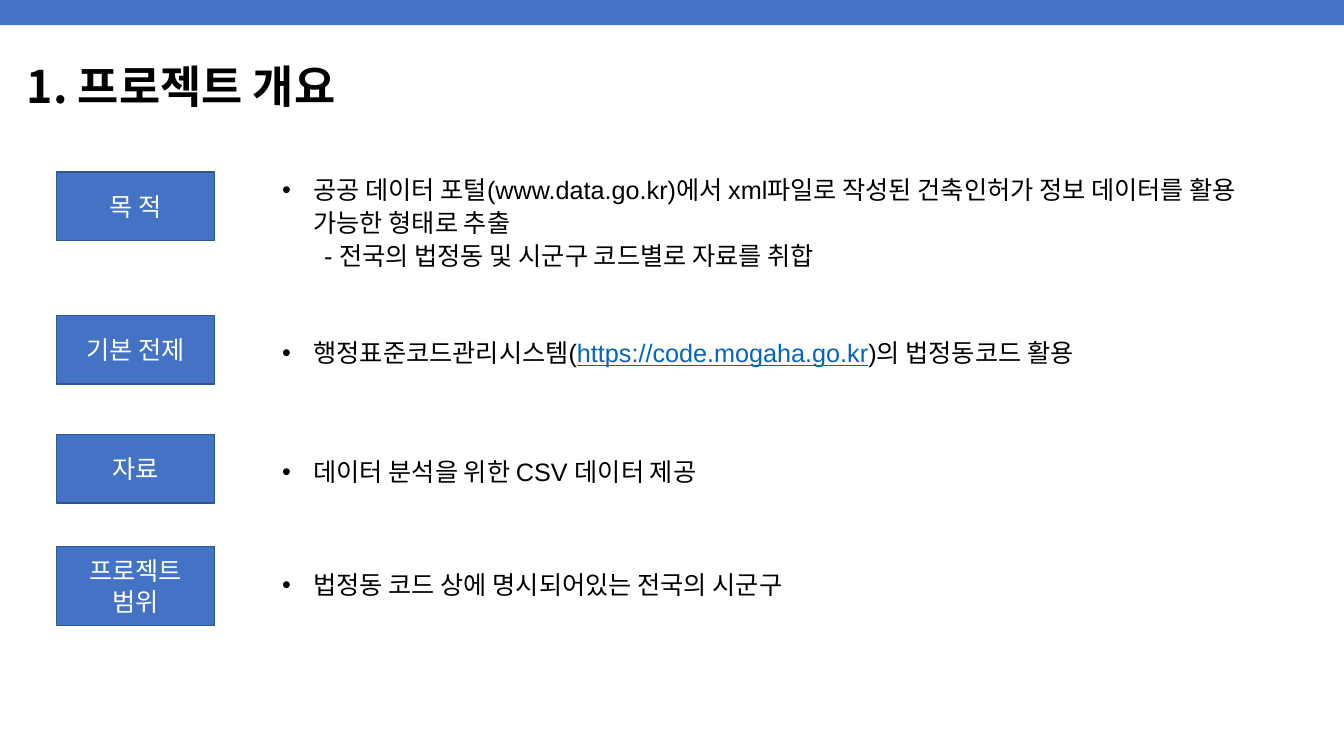
"""Build the project overview slide with four labelled topics."""
from lxml.etree import SubElement
from pptx import Presentation
from pptx.dml.color import RGBColor
from pptx.enum.shapes import MSO_SHAPE as SHAPE
from pptx.enum.text import MSO_ANCHOR as ANCHOR, PP_ALIGN as ALIGN
from pptx.oxml.ns import qn
from pptx.util import Pt

BLUE = RGBColor(0x44, 0x72, 0xC4)
BORDER = RGBColor(0x32, 0x54, 0x91)
LINK = RGBColor(0x05, 0x63, 0xC1)
BLACK = RGBColor(0, 0, 0)
WHITE = RGBColor(255, 255, 255)
KOREAN = "Noto Sans CJK KR"
LATIN = "Arial"


def style_run(r, size, color, font):
    r.font.size = Pt(size)
    r.font.color.rgb = color
    r.font.name = font
    SubElement(r.font._element, qn("a:ea"), typeface=KOREAN)


def add_box(left, top, width, height):
    sp = s.shapes.add_shape(SHAPE.RECTANGLE, Pt(left), Pt(top), Pt(width), Pt(height))
    sp.shadow.inherit = False
    sp.fill.solid()
    sp.fill.fore_color.rgb = BLUE
    return sp


prs = Presentation()
prs.slide_width, prs.slide_height = Pt(960), Pt(540)
s = prs.slides.add_slide(prs.slide_layouts[6])

banner = add_box(0, 0, 960, 18)
banner.line.fill.background()

title = s.shapes.add_textbox(Pt(12), Pt(31.7), Pt(931), Pt(64))
tf = title.text_frame
tf.word_wrap = True
tf.vertical_anchor = ANCHOR.MIDDLE
p = tf.paragraphs[0]
p.text = "1. 프로젝트 개요"
p.line_spacing = 0.9
style_run(p.runs[0], 32, BLACK, KOREAN)
p.runs[0].font.bold = True

URL = "https://code.mogaha.go.kr"
topics = [
    ("목 적", 123, 49, 118.8, 729, 77, [
        ["공공 데이터 포털(www.data.go.kr)에서 xml파일로 작성된 "
         "건축인허가 정보 데이터를 활용 가능한 형태로 추출"],
        ["- 전국의 법정동 및 시군구 코드별로 자료를 취합"]]),
    ("기본 전제", 225.3, 49, 235.4, 671, 30, [
        ["행정표준코드관리시스템(", URL, ")의 법정동코드 활용"]]),
    ("자료", 310.3, 49, 320.4, 619, 30, [["데이터 분석을 위한 CSV 데이터 제공"]]),
    ("프로젝트\n범위", 390.2, 56.5, 401, 619, 30, [
        ["법정동 코드 상에 명시되어있는 전국의 시군구"]]),
]

for label, box_top, box_height, text_top, text_width, text_height, lines in topics:
    sp = add_box(40.3, box_top, 113, box_height)
    sp.line.color.rgb = BORDER
    sp.line.width = Pt(1)
    tf = sp.text_frame
    tf.text = label
    tf.word_wrap = True
    tf.vertical_anchor = ANCHOR.MIDDLE
    for p in tf.paragraphs:
        p.alignment = ALIGN.CENTER
        style_run(p.runs[0], 18, WHITE, KOREAN)

    sp = s.shapes.add_textbox(Pt(194.4), Pt(text_top), Pt(text_width), Pt(text_height))
    tf = sp.text_frame
    tf.word_wrap = True
    for i, parts in enumerate(lines):
        p = tf.add_paragraph() if i else tf.paragraphs[0]
        p.line_spacing = 1.1
        pPr = p._p.get_or_add_pPr()
        if i:
            pPr.set("marL", str(Pt(30)))
        else:
            pPr.set("marL", str(Pt(22.5)))
            pPr.set("indent", str(Pt(-22.5)))
            SubElement(pPr, qn("a:buFont"), typeface=LATIN)
            SubElement(pPr, qn("a:buChar"), char="•")
        for part in parts:
            r = p.add_run()
            r.text = part
            style_run(r, 18, LINK if part == URL else BLACK, LATIN)
            r.font.underline = part == URL

prs.save("out.pptx")
